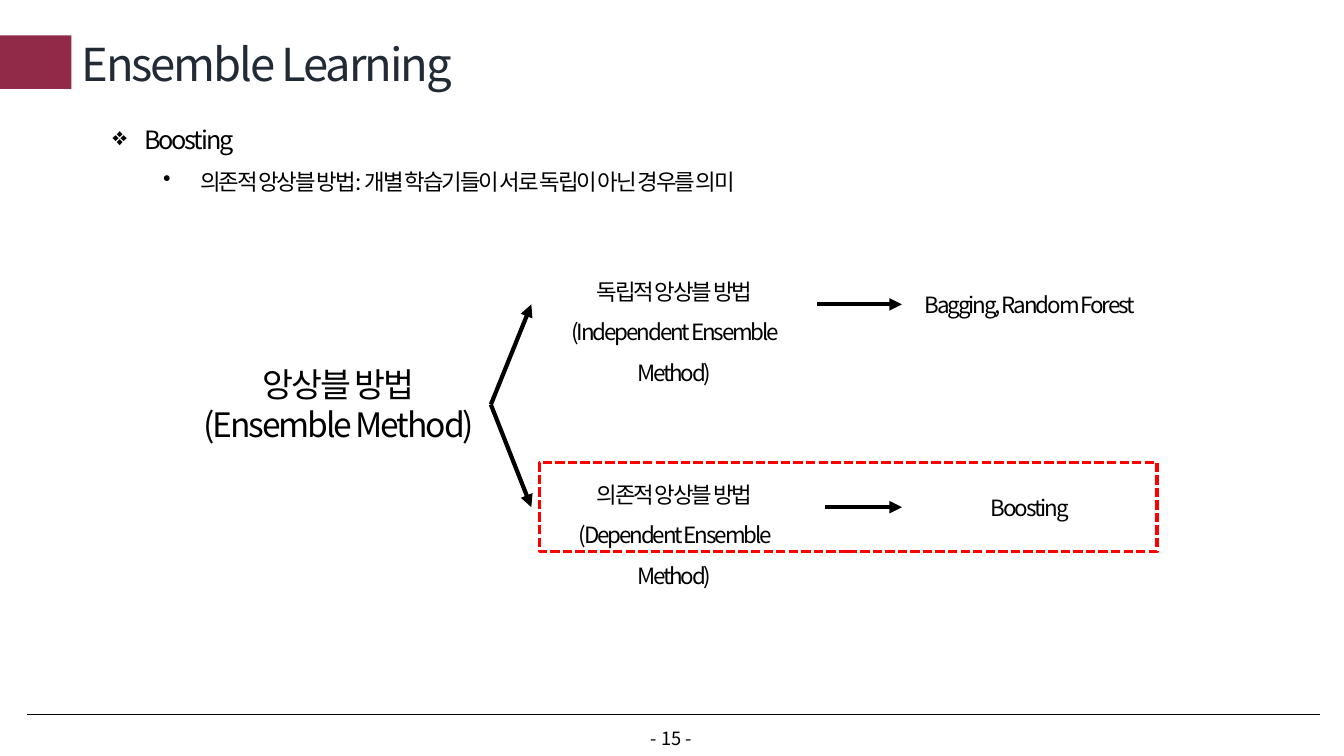
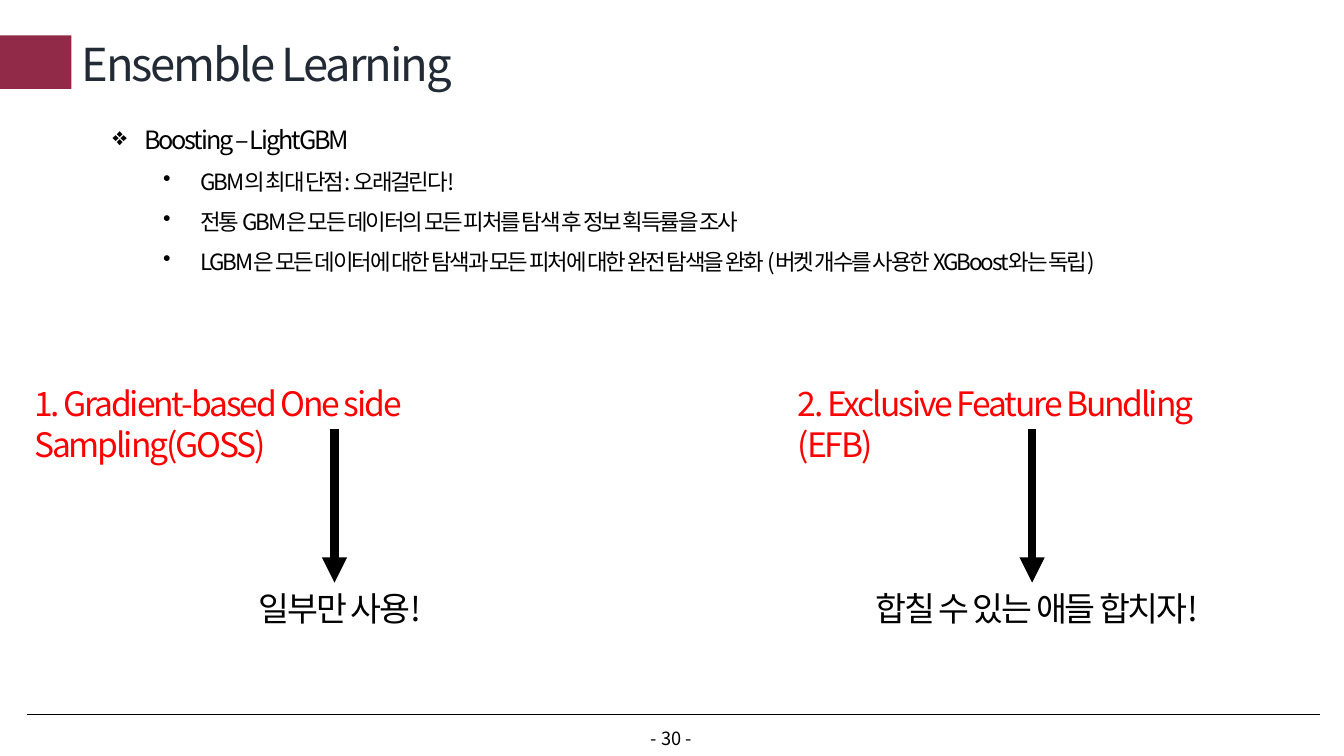
from lxml import etree
from pptx import Presentation
from pptx.dml.color import RGBColor
from pptx.enum.dml import MSO_LINE
from pptx.enum.shapes import MSO_CONNECTOR, MSO_SHAPE
from pptx.enum.text import MSO_ANCHOR, MSO_AUTO_SIZE, PP_ALIGN
from pptx.oxml.ns import qn
from pptx.util import Cm, Pt

FACE = "Noto Sans CJK KR"
BLACK, RED, WINE, NAVY = "000000", "FF0000", "902A48", "222A35"
TIGHT = -150  # letter spacing in hundredths of a point
TITLE = "Ensemble Learning"


def color(code):
    return RGBColor.from_string(code)


def add_run(para, text, size, code=BLACK, spacing=TIGHT):
    run = para.add_run()
    run.text = text
    font = run.font
    font.size, font.name = Pt(size), FACE
    font.color.rgb = color(code)
    props = run.font._element
    props.set("spc", str(spacing))
    etree.SubElement(props, qn("a:ea")).set("typeface", FACE)


def add_text(slide, place, lines, size, code=BLACK, align=PP_ALIGN.LEFT,
             gap=1.0, anchor=MSO_ANCHOR.TOP, spacing=TIGHT):
    box = slide.shapes.add_textbox(*map(Cm, place))
    frame = box.text_frame
    frame.word_wrap = True
    frame.vertical_anchor = anchor
    for num, line in enumerate(lines):
        para = frame.add_paragraph() if num else frame.paragraphs[0]
        para.alignment, para.line_spacing = align, gap
        add_run(para, line, size, code, spacing)
    return box


def add_line(slide, start, end, width, arrow=True):
    line = slide.shapes.add_connector(
        MSO_CONNECTOR.STRAIGHT, *map(Cm, start + end))
    line.line.width = Pt(width)
    line.line.color.rgb = color(BLACK)
    if arrow:
        tail = etree.SubElement(line.line._get_or_add_ln(), qn("a:tailEnd"))
        tail.set("type", "triangle")
    etree.SubElement(line.element.spPr, qn("a:effectLst"))
    return line


def join(slide, left, right):
    """Draw an arrow from the right side of one box to the left of another."""
    line = add_line(slide, (0, 0), (1, 1), 3)
    line.begin_connect(left, 3)
    line.end_connect(right, 1)


def add_rect(slide, place):
    rect = slide.shapes.add_shape(MSO_SHAPE.RECTANGLE, *map(Cm, place))
    rect.shadow.inherit = False
    return rect


def add_frame(slide, place):
    """Draw the dashed red outline that marks a row."""
    rect = add_rect(slide, place)
    rect.fill.background()
    rect.line.color.rgb = color(RED)
    rect.line.width = Pt(2.25)
    rect.line.dash_style = MSO_LINE.SQUARE_DOT


def add_bullet(para, mark, left, hang):
    props = para._p.get_or_add_pPr()
    props.set("marL", str(Cm(left)))
    props.set("indent", str(-Cm(hang)))
    etree.SubElement(props, qn("a:buChar")).set("char", mark)
    para.line_spacing = 1.5


def add_list(slide, head, points):
    height = 1.35 + 1.02 * len(points)
    box = slide.shapes.add_textbox(Cm(2.59), Cm(2.62), Cm(31.04), Cm(height))
    frame = box.text_frame
    frame.word_wrap = True
    para = frame.paragraphs[0]
    add_bullet(para, "❖", 0.79, 0.79)
    add_run(para, head, 18)
    for point in points:
        para = frame.add_paragraph()
        para.level = 1
        add_bullet(para, "•", 2.21, 0.94)
        add_run(para, point, 16)


def dress(slide, layout):
    """Move the shared band and rule from a slide to its layout."""
    rule = add_line(slide, (0.69, 18.01), (33.27, 18.01), 0.5, arrow=False)
    band = add_rect(slide, (0, 0.89, 1.8, 1.35))
    band.fill.solid()
    band.fill.fore_color.rgb = color(WINE)
    band.line.fill.background()
    for part in (rule, band):
        layout.shapes.element.append(part.element)


def add_page(deck, number):
    slide = deck.slides.add_slide(deck.slide_layouts[5])
    title = slide.shapes.title
    title.left, title.top = Cm(1.8), Cm(0.91)
    title.width, title.height = Cm(27.48), Cm(1.57)
    frame = title.text_frame
    frame.auto_size = MSO_AUTO_SIZE.NONE
    frame.vertical_anchor = MSO_ANCHOR.MIDDLE
    para = frame.paragraphs[0]
    para.alignment, para.line_spacing = PP_ALIGN.LEFT, 0.9
    add_run(para, TITLE, 32.4, NAVY)
    add_text(slide, (15.65, 18.21, 2.54, 0.81), [f"- {number} -"], 13,
             align=PP_ALIGN.CENTER, spacing=0)
    return slide


def add_tree(slide):
    mid = PP_ALIGN.CENTER
    root = add_text(slide, (4.7, 9.04, 7.67, 2.31),
                    ["앙상블 방법", "(Ensemble Method)"], 24, align=mid)
    rows = [
        (["독립적 앙상블 방법", "(Independent Ensemble Method)"],
         "Bagging, Random Forest"),
        (["의존적 앙상블 방법", "(Dependent Ensemble Method)"], "Boosting"),
    ]
    for num, (names, result) in enumerate(rows):
        top = 6.55 + 5.11 * num
        kind = add_text(slide, (13.39, top, 7.21, 2.24), names, 16,
                        align=mid, gap=1.5)
        leaf = add_text(slide, (22.73, top + 0.47, 6.45, 1.3), [result], 16,
                        align=mid, anchor=MSO_ANCHOR.MIDDLE)
        join(slide, root, kind)
        if num == 0:
            join(slide, kind, leaf)
        else:
            short = add_line(slide, (20.8, top + 1.12), (22.73, top + 1.12), 3)
            short.end_connect(leaf, 1)
    add_frame(slide, (13.59, 11.66, 15.57, 2.24))


def add_step(slide, name, left, width, note, note_left, note_width, mid):
    """Put a red heading above its note, with an arrow between them."""
    top, low, height = 9.53, 14.68, 1.27
    add_text(slide, (left, top, width, height), [name], 24, RED)
    add_text(slide, (note_left, low, note_width, height), [note], 24)
    add_line(slide, (mid, top + height), (mid, low), 6)


def main():
    deck = Presentation()
    deck.slide_width, deck.slide_height = Cm(33.87), Cm(19.05)

    slide = add_page(deck, 15)
    dress(slide, slide.slide_layout)
    add_list(slide, "Boosting", [
        "의존적 앙상블 방법: 개별 학습기들이 서로 독립이 아닌 경우를 의미"])
    add_tree(slide)

    slide = add_page(deck, 30)
    add_list(slide, "Boosting – LightGBM", [
        "GBM의 최대 단점: 오래걸린다!",
        "전통 GBM은 모든 데이터의 모든 피처를 탐색 후 정보 획득률을 조사",
        "LGBM은 모든 데이터에 대한 탐색과 모든 피처에 대한 완전 탐색을 완화 "
        "(버켓 개수를 사용한 XGBoost와는 독립)"])
    add_step(slide, "1. Gradient-based One side Sampling(GOSS)", 0.61, 15.67,
             "일부만 사용!", 6.27, 4.37, 8.43)
    add_step(slide, "2. Exclusive Feature Bundling (EFB)", 19.86, 12.32,
             "합칠 수 있는 애들 합치자!", 21.82, 8.41, 26.01)

    deck.save("out.pptx")


if __name__ == "__main__":
    main()
